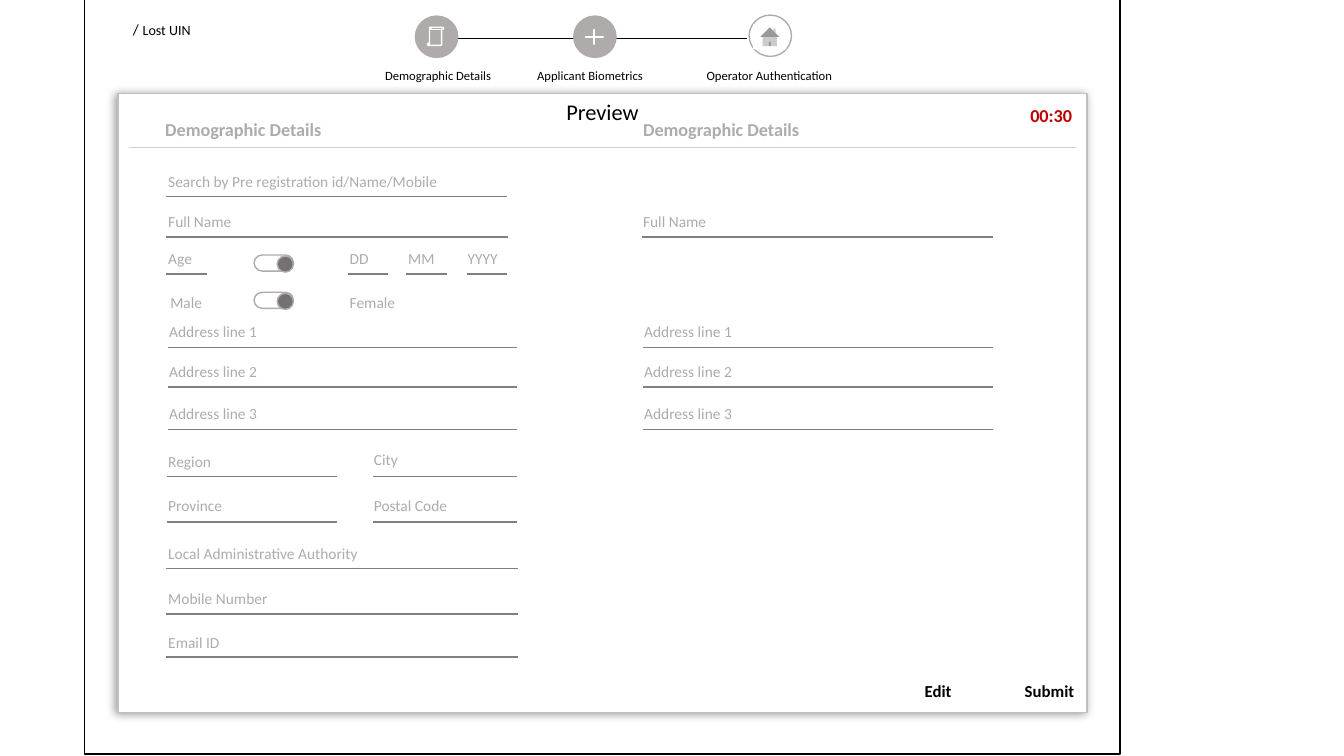
from dataclasses import dataclass

from lxml.etree import SubElement
from pptx import Presentation
from pptx.dml.color import RGBColor
from pptx.enum.shapes import MSO_CONNECTOR, MSO_SHAPE as SHAPE
from pptx.enum.text import MSO_AUTO_SIZE, PP_ALIGN as ALIGN
from pptx.oxml.ns import qn
from pptx.util import Emu, Pt

PX = 9144
GREY, BLACK, WHITE, RULE = "AFABAB", "000000", "FFFFFF", "808080"

prs = Presentation()
prs.slide_width, prs.slide_height = Emu(1333 * PX), Emu(750 * PX)
s = prs.slides.add_slide(prs.slide_layouts[6])


@dataclass
class Field:
    text: str
    x: int
    y: int
    w: int
    rule_x: int
    rule_end: int
    drop: int = 29


@dataclass
class Label:
    text: str
    x: int
    y: int
    w: int
    h: int = 29
    size: float = 11
    color: str = GREY
    bold: bool = False
    align: ALIGN = ALIGN.LEFT
    wrap: bool = False


def px(n: int) -> Emu:
    return Emu(n * PX)


def rgb(color: str) -> RGBColor:
    return RGBColor.from_string(color)


def add_run(p, text: str, size: float, color: str, bold: bool = False) -> None:
    r = p.add_run()
    r.text = text
    r.font.name, r.font.size, r.font.bold = "Calibri", Pt(size), bold
    r.font.color.rgb = rgb(color)


def add_box(x: int, y: int, w: int, h: int, wrap: bool = False):
    tf = s.shapes.add_textbox(px(x), px(y), px(w), px(h)).text_frame
    tf.word_wrap = wrap
    tf.auto_size = MSO_AUTO_SIZE.SHAPE_TO_FIT_TEXT
    return tf.paragraphs[0]


def add_label(label: Label) -> None:
    p = add_box(label.x, label.y, label.w, label.h, label.wrap)
    p.alignment = label.align
    add_run(p, label.text, label.size, label.color, label.bold)


def add_line(x1: int, x2: int, y: int, color: str = RULE, width: float = 1) -> None:
    c = s.shapes.add_connector(MSO_CONNECTOR.STRAIGHT, px(x1), px(y), px(x2), px(y))
    c.line.color.rgb, c.line.width = rgb(color), Pt(width)
    SubElement(c._element.spPr, qn("a:effectLst"))


def add_shape(kind: SHAPE, x: int, y: int, w: int, h: int, fill: str | None,
              line: str | None, adj: float | None = None):
    sp = s.shapes.add_shape(kind, px(x), px(y), px(w), px(h))
    sp.shadow.inherit = False
    if fill:
        sp.fill.solid()
        sp.fill.fore_color.rgb = rgb(fill)
    else:
        sp.fill.background()
    if line:
        sp.line.color.rgb, sp.line.width = rgb(line), Pt(1)
    else:
        sp.line.fill.background()
    if adj is not None:
        sp.adjustments[0] = adj
    return sp


def add_shadow(sp) -> None:
    effects = sp._element.spPr.find(qn("a:effectLst"))
    shadow = SubElement(effects, qn("a:outerShdw"), blurRad=str(Pt(6)), dist=str(Pt(2)),
                        dir=str(170 * 60000), algn="ctr", rotWithShape="0")
    color = SubElement(shadow, qn("a:srgbClr"), val=RULE)
    SubElement(color, qn("a:alpha"), val="80000")


def add_field(field: Field) -> None:
    add_line(field.rule_x, field.rule_end, field.y + field.drop)
    add_label(Label(field.text, field.x, field.y, field.w))


def add_toggle(x: int, y: int) -> None:
    add_shape(SHAPE.ROUNDED_RECTANGLE, x, y, 39, 16, WHITE, GREY, 0.5)
    add_shape(SHAPE.OVAL, x + 23, y + 1, 16, 16, "767171", GREY)


def add_steps() -> None:
    """Draw the three-step progress bar above the card."""
    add_line(454, 569, 38, BLACK, 0.5)
    add_line(611, 741, 38, BLACK, 0.5)
    for x, y, fill in ((412, 16, GREY), (569, 16, GREY), (743, 15, WHITE)):
        add_shape(SHAPE.OVAL, x, y, 42, 41, fill, GREY)
    add_shape(SHAPE.VERTICAL_SCROLL, 424, 27, 16, 18, GREY, WHITE)
    add_shape(SHAPE.MATH_PLUS, 578, 27, 23, 19, WHITE, WHITE, 0.042)
    add_shape(SHAPE.ACTION_BUTTON_HOME, 747, 24, 33, 25, WHITE, None)
    for text, x, w in (("Demographic Details", 372, 131),
                       ("Applicant Biometrics", 523, 133),
                       ("Operator Authentication", 691, 146)):
        add_label(Label(text, x, 62, w, 25, 9, BLACK, wrap=True))


FIELDS = [
    Field("Search by Pre registration id/Name/Mobile", 157, 166, 290, 165, 503),
    Field("Full Name", 157, 206, 83, 165, 504),
    Field("Full Name", 628, 206, 83, 637, 985),
    Field("Age", 157, 242, 44, 165, 205, 30),
    Field("DD", 337, 242, 39, 345, 385, 30),
    Field("MM", 395, 242, 46, 403, 443, 30),
    Field("YYYY", 454, 242, 50, 463, 503, 30),
    *(Field(f"Address line {n}", x, y, 108, x + 9, end, 30)
      for x, end in ((158, 513), (629, 985))
      for n, y in enumerate((315, 354, 396), 1)),
    Field("Region", 157, 444, 63, 166, 334),
    Field("City", 361, 442, 44, 370, 513, 31),
    Field("Province", 157, 487, 74, 166, 334, 31),
    Field("Postal Code", 361, 487, 94, 370, 513, 31),
    Field("Local Administrative Authority", 157, 535, 210, 165, 514),
    Field("Mobile Number", 157, 580, 119, 165, 514),
    Field("Email ID", 157, 623, 71, 165, 514),
]

LABELS = [
    Label("Male", 159, 286, 52),
    Label("Female", 337, 286, 66),
    Label("Preview", 507, 92, 181, 37, 16, BLACK, align=ALIGN.CENTER, wrap=True),
    Label("Demographic Details", 154, 112, 223, 32, 13, bold=True, wrap=True),
    Label("Demographic Details", 628, 112, 223, 32, 13, bold=True, wrap=True),
    Label("00:30", 1012, 99, 65, 32, 13, "C00000", True, wrap=True),
    Label("Edit", 907, 670, 47, 30, 12, BLACK, True, ALIGN.CENTER),
    Label("Submit", 1006, 670, 70, 30, 12, BLACK, True, ALIGN.CENTER),
]


def main() -> None:
    card = add_shape(SHAPE.ROUNDED_RECTANGLE, 117, 93, 961, 614, WHITE, "BFBFBF", 0)
    add_shadow(card)
    add_shape(SHAPE.RECTANGLE, 84, -2, 1027, 750, None, BLACK)
    add_steps()
    add_line(128, 1067, 146, "D0CECE", 0.5)
    for field in FIELDS:
        add_field(field)
    for y in (253, 290):
        add_toggle(252, y)
    for label in LABELS:
        add_label(label)
    p = add_box(122, 14, 78, 30)
    for text, size in (("/", 11), (" ", 12), ("Lost UIN", 10)):
        add_run(p, text, size, BLACK)
    prs.save("out.pptx")


if __name__ == "__main__":
    main()
